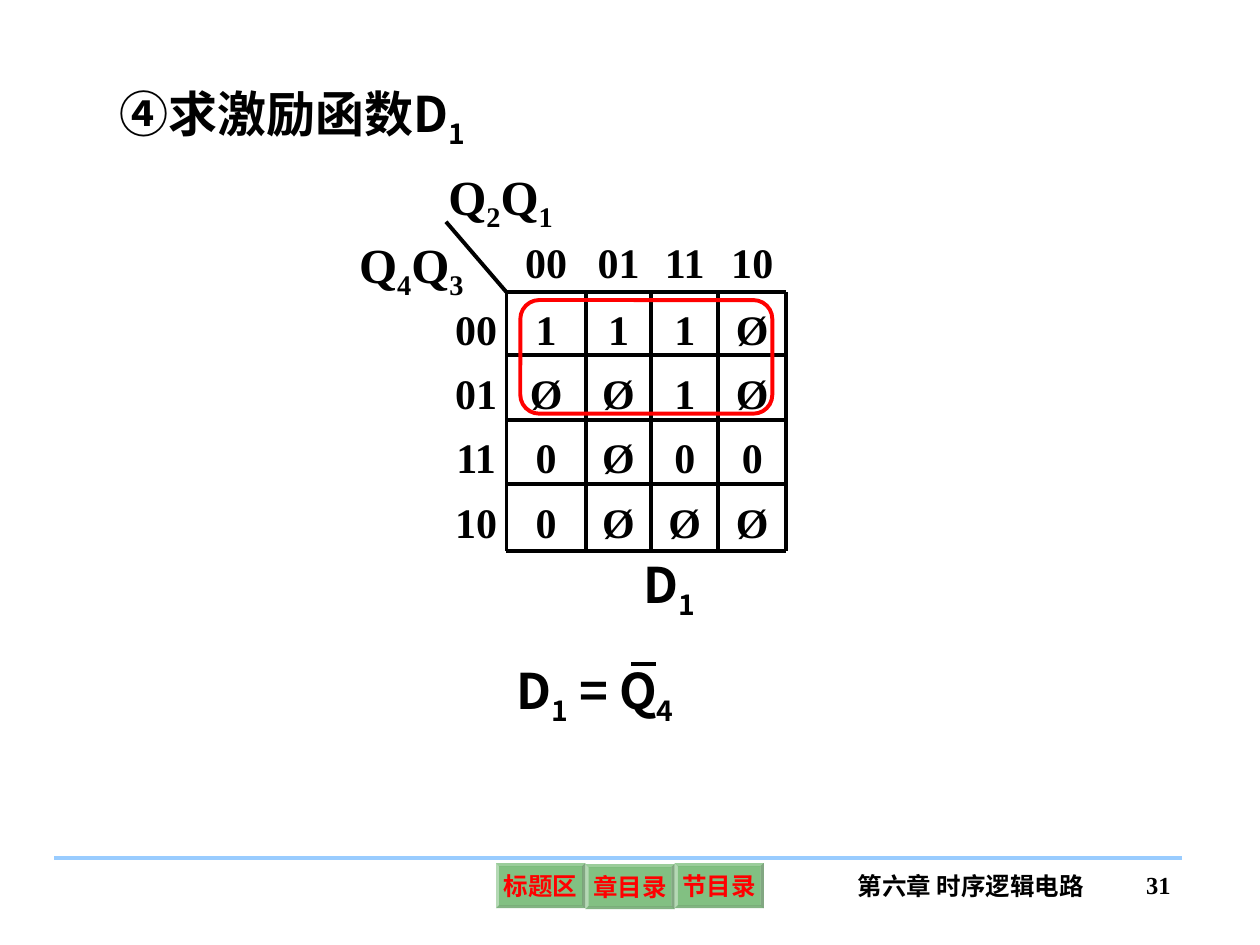
from dataclasses import dataclass
from itertools import pairwise

from lxml.etree import SubElement
from pptx import Presentation
from pptx.dml.color import RGBColor
from pptx.enum.shapes import MSO_CONNECTOR as Connector, MSO_SHAPE as Preset
from pptx.enum.text import MSO_ANCHOR as Anchor, MSO_AUTO_SIZE as AutoSize, PP_ALIGN as Align
from pptx.oxml.ns import qn
from pptx.util import Cm, Pt

BLACK = RGBColor(0, 0, 0)
RED = RGBColor(255, 0, 0)
GREEN = RGBColor(0, 128, 0)
SKY = RGBColor(0x99, 0xCC, 0xFF)
SERIF = "Times New Roman"
SANS = "Noto Sans CJK SC"

COLUMN_EDGES = [8.99, 10.21, 11.81, 13.13, 14.48, 15.85]
ROW_EDGES = [4.47, 5.89, 7.16, 8.46, 9.75, 11.1]
MAP_ROWS = [
    ["", "00", "01", "11", "10"],
    ["00", "1", "1", "1", "Ø"],
    ["01", "Ø", "Ø", "1", "Ø"],
    ["11", "0", "Ø", "0", "0"],
    ["10", "0", "Ø", "Ø", "Ø"],
]


@dataclass(frozen=True)
class Box:
    left: float
    top: float
    width: float
    height: float

    def lengths(self) -> list[Cm]:
        return [Cm(n) for n in (self.left, self.top, self.width, self.height)]


@dataclass(frozen=True)
class Piece:
    text: str
    font: str = SERIF
    subscript: bool = False


@dataclass(frozen=True)
class Label:
    box: Box
    pieces: list[Piece]
    size: int = 28
    align: Align = Align.LEFT


def indexed(*pairs: tuple[str, str], font: str = SERIF) -> list[Piece]:
    return [
        piece
        for base, index in pairs
        for piece in (Piece(base, font), Piece(index, font, True))
    ]


LABELS = [
    Label(Box(16.92, 17.42, 5.31, 1.27), [Piece("第六章 时序逻辑电路")], 14, Align.CENTER),
    Label(Box(21.67, 17.4, 2.18, 1.27), [Piece("31")], 14, Align.RIGHT),
    Label(Box(6.99, 4.6, 2.62, 1.6), indexed(("Q", "4"), ("Q", "3"))),
    Label(Box(8.79, 3.23, 3.3, 1.6), indexed(("Q", "2"), ("Q", "1"))),
    Label(Box(12.73, 11.05, 1.93, 1.6), indexed(("D", "1"), font=SANS)),
    Label(Box(10.16, 13.18, 3.99, 1.6), indexed(("D", "1"), (" = Q", "4"), font=SANS)),
]
BUTTONS = [
    ("标题区", Box(10, 17.4, 1.8, 0.91)),
    ("章目录", Box(11.8, 17.42, 1.8, 0.91)),
    ("节目录", Box(13.6, 17.4, 1.8, 0.91)),
]


def write_text(shape, pieces: list[Piece], *, size=28, color=BLACK, align=Align.LEFT,
               anchor=Anchor.TOP, margins=(0.25, 0.13), spacing=1.0, wrap=True) -> None:
    frame = shape.text_frame
    frame.auto_size = AutoSize.NONE
    frame.word_wrap = wrap
    frame.vertical_anchor = anchor
    frame.margin_left = frame.margin_right = Cm(margins[0])
    frame.margin_top = frame.margin_bottom = Cm(margins[1])
    paragraph = frame.paragraphs[0]
    paragraph.alignment = align
    paragraph.line_spacing = spacing
    for piece in pieces:
        run = paragraph.add_run()
        run.text = piece.text
        run.font.size = Pt(size)
        run.font.bold = True
        run.font.color.rgb = color
        run.font.name = piece.font
        properties = run.font._element
        SubElement(properties, qn("a:ea")).set("typeface", SANS)
        if piece.subscript:
            properties.set("baseline", "-25000")


def draw_line(slide, x1: float, y1: float, x2: float, y2: float,
              color: RGBColor = BLACK) -> None:
    line = slide.shapes.add_connector(
        Connector.STRAIGHT, Cm(x1), Cm(y1), Cm(x2), Cm(y2))
    line.line.color.rgb = color
    line.line.width = Pt(2.25)
    SubElement(line._element.spPr, qn("a:effectLst"))


def draw_label(slide, label: Label) -> None:
    shape = slide.shapes.add_textbox(*label.box.lengths())
    write_text(shape, label.pieces, size=label.size, align=label.align)


def draw_button(slide, text: str, box: Box) -> None:
    button = slide.shapes.add_shape(Preset.BEVEL, *box.lengths())
    button.adjustments[0] = 0.07
    button.shadow.inherit = False
    button.fill.solid()
    button.fill.fore_color.rgb = GREEN
    color = button._element.spPr.find(qn("a:solidFill"))[0]
    SubElement(color, qn("a:alpha")).set("val", "49000")
    button.line.fill.background()
    write_text(button, [Piece(text)], size=14, color=RED, align=Align.CENTER,
               anchor=Anchor.MIDDLE, margins=(0.1, 0.1), wrap=False)


def draw_karnaugh_map(slide) -> None:
    for values, (top, bottom) in zip(MAP_ROWS, pairwise(ROW_EDGES)):
        for value, (left, right) in zip(values, pairwise(COLUMN_EDGES)):
            if value:
                box = Box(left, top, right - left, bottom - top)
                cell = slide.shapes.add_textbox(*box.lengths())
                write_text(cell, [Piece(value)], size=24, align=Align.CENTER,
                           anchor=Anchor.MIDDLE, margins=(0.05, 0.05), spacing=1.2)
    corner_x, *_, right = xs = COLUMN_EDGES[1:]
    corner_y, *_, bottom = ys = ROW_EDGES[1:]
    draw_line(slide, COLUMN_EDGES[0], ROW_EDGES[0], corner_x, corner_y)
    for x in xs:
        draw_line(slide, x, corner_y, x, bottom)
    for y in ys:
        draw_line(slide, corner_x, y, right, y)


def draw_group_loop(slide, box: Box) -> None:
    loop = slide.shapes.add_shape(Preset.ROUNDED_RECTANGLE, *box.lengths())
    loop.shadow.inherit = False
    loop.fill.background()
    loop.line.color.rgb = RED
    loop.line.width = Pt(2.25)


def main() -> None:
    presentation = Presentation()
    presentation.slide_width = Cm(25.4)
    presentation.slide_height = Cm(19.05)
    slide = presentation.slides.add_slide(presentation.slide_layouts[5])
    title = slide.shapes.title
    title.left, title.top, title.width, title.height = Box(2.16, 1.55, 20.93, 1.6).lengths()
    write_text(title, [Piece("④"), Piece("求激励函数D", SANS), Piece("1", SANS, True)])
    draw_line(slide, 1.09, 17.3, 23.83, 17.3, SKY)
    draw_karnaugh_map(slide)
    for label in LABELS:
        draw_label(slide, label)
    draw_group_loop(slide, Box(10.49, 6.05, 5.08, 2.29))
    draw_line(slide, 12.73, 13.39, 13.23, 13.39)
    for text, box in BUTTONS:
        draw_button(slide, text, box)
    presentation.save("out.pptx")


if __name__ == "__main__":
    main()
